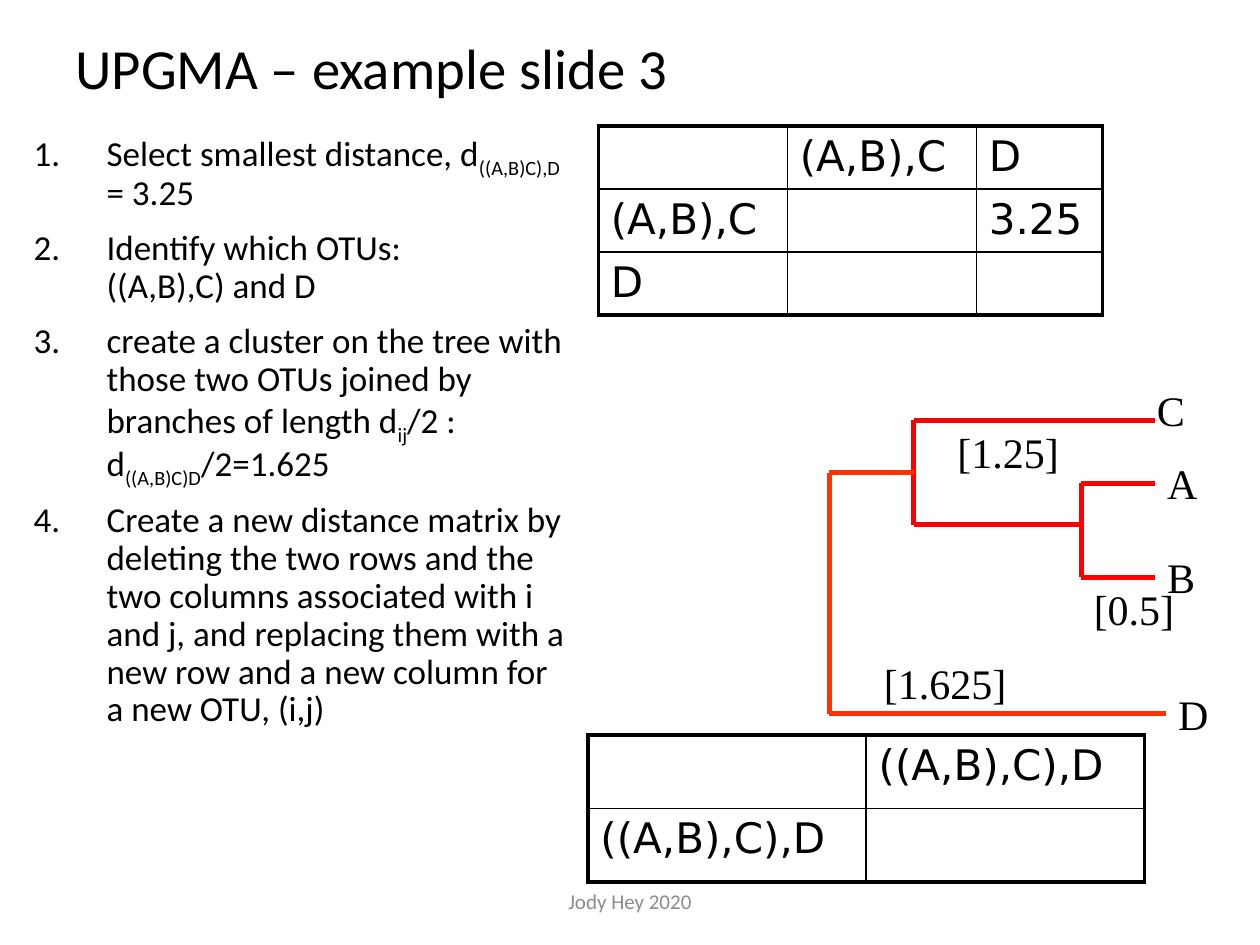
from lxml import etree
from pptx import Presentation
from pptx.dml.color import RGBColor
from pptx.enum import shapes, text
from pptx.oxml import ns
from pptx.util import Cm, Pt

BLACK, RED, ORANGE, GREY = "000000", "FF0000", "FF3300", "8C8C8C"
SANS, MATRIX_FONT, TREE_FONT = "Calibri", "DejaVu Sans", "Times New Roman"

TITLE = "UPGMA – example slide 3"
FOOTER = "Jody Hey 2020"

# Each step is a list of runs; every second run is a subscript.
STEPS = [
    ["Select smallest distance, d", "((A,B)C),D", " = 3.25"],
    ["Identify which OTUs:\v((A,B),C) and D"],
    ["create a cluster on the tree with those two OTUs joined by branches of length d",
     "ij", "/2 : d", "((A,B)C)D", "/2=1.625"],
    ["Create a new distance matrix by deleting the two rows and the two columns "
     "associated with i and j, and replacing them with a new row and a new column "
     "for a new OTU, (i,j)"],
]

# Distance matrices, lengths in cm
MATRICES = [
    {"left": 12.06, "top": 2.54, "widths": [3.81, 3.81, 2.54], "row_height": 1.27,
     "rows": [["", "(A,B),C", "D"], ["(A,B),C", "", "3.25"], ["D", "", ""]]},
    {"left": 11.85, "top": 14.82, "widths": [5.61, 5.61], "row_height": 1.48,
     "rows": [["", "((A,B),C),D"], ["((A,B),C),D", ""]]},
]

# Tree forks: x of the node, its two branches as (y, x of the tip), colour
FORKS = [
    (21.8, [(9.74, 23.28), (11.64, 23.28)], RED),
    (18.42, [(8.47, 23.28), (10.58, 21.8)], RED),
    (16.72, [(9.53, 18.42), (14.39, 23.5)], ORANGE),
]

# Tree labels: text, left, top, width
TREE_LABELS = [
    ("A", 23.28, 9.1, 1.27),
    ("B", 23.28, 11, 1.27),
    ("[0.5]", 21.8, 11.64, 2.96),
    ("C", 23.07, 7.62, 1.27),
    ("[1.25]", 19.05, 8.47, 3.18),
    ("D", 23.5, 13.76, 1.27),
    ("[1.625]", 17.57, 13.12, 4.45),
]


def rgb(value):
    return RGBColor.from_string(value)


def add_run(paragraph, words, size, font, color=BLACK):
    first, *rest = words.split("\v")
    runs = [paragraph.add_run()]
    runs[0].text = first
    for line in rest:
        paragraph.add_line_break()
        runs.append(paragraph.add_run())
        runs[-1].text = line
    for run in runs:
        for key, value in {"size": Pt(size), "name": font, "bold": False}.items():
            setattr(run.font, key, value)
        run.font.color.rgb = rgb(color)
    return runs[0]


def add_frame(slide, *box):
    frame = slide.shapes.add_textbox(*map(Cm, box)).text_frame
    frame.word_wrap = True
    return frame


def add_title(slide):
    title = slide.shapes.title
    places = {"left": 1.27, "top": 0.76, "width": 22.86, "height": 1.35}
    for key, value in places.items():
        setattr(title, key, Cm(value))
    title.text_frame.vertical_anchor = text.MSO_ANCHOR.MIDDLE
    paragraph = title.text_frame.paragraphs[0]
    paragraph.alignment = text.PP_ALIGN.LEFT
    paragraph.line_spacing = 0.9
    add_run(paragraph, TITLE, 32.4, SANS)


def add_steps(slide):
    frame = add_frame(slide, 0.43, 2.54, 11.23, 16.3)
    for number, parts in enumerate(STEPS):
        paragraph = frame.add_paragraph() if number else frame.paragraphs[0]
        paragraph.line_spacing = 0.9
        paragraph.space_before = Pt(10)
        props = paragraph._p.get_or_add_pPr()
        props.set("marL", str(Cm(1.47)))
        props.set("indent", str(-Cm(1.47)))
        etree.SubElement(props, ns.qn("a:buFont"), typeface="+mj-lt")
        etree.SubElement(props, ns.qn("a:buAutoNum"), type="arabicPeriod")
        for index, part in enumerate(parts):
            run = add_run(paragraph, part, 20, SANS)
            if index % 2:
                run.font._element.set("baseline", "-25000")


def set_borders(cell, outer_sides):
    """Draw thick lines on the outer sides of the matrix and thin ones elsewhere."""
    props = cell._tc.get_or_add_tcPr()
    for side in "LRTB":
        width = Pt(2.25 if side in outer_sides else 1)
        line = etree.SubElement(props, ns.qn(f"a:ln{side}"), w=str(width))
        fill = etree.SubElement(line, ns.qn("a:solidFill"))
        etree.SubElement(fill, ns.qn("a:srgbClr"), val=BLACK)


def add_matrix(slide, left, top, widths, row_height, rows):
    last_row, last_col = len(rows) - 1, len(widths) - 1
    table = slide.shapes.add_table(
        len(rows), len(widths), Cm(left), Cm(top),
        Cm(sum(widths)), Cm(row_height * len(rows))).table
    table.first_row = table.horz_banding = False
    for column, width in zip(table.columns, widths):
        column.width = Cm(width)
    for r, row in enumerate(rows):
        for c, label in enumerate(row):
            cell = table.cell(r, c)
            outer = {"L": c == 0, "R": c == last_col, "T": r == 0, "B": r == last_row}
            set_borders(cell, [side for side, is_outer in outer.items() if is_outer])
            cell.fill.background()
            if label:
                add_run(cell.text_frame.paragraphs[0], label, 24, MATRIX_FONT)


def add_line(slide, x1, y1, x2, y2, color):
    line = slide.shapes.add_connector(
        shapes.MSO_CONNECTOR.STRAIGHT, Cm(x1), Cm(y1), Cm(x2), Cm(y2))
    line.line.color.rgb = rgb(color)
    line.line.width = Pt(3)
    etree.SubElement(line._element.spPr, ns.qn("a:effectLst"))


def add_tree(slide):
    for node_x, branches, color in FORKS:
        (upper_y, _), (lower_y, _) = branches
        add_line(slide, node_x, upper_y, node_x, lower_y, color)
        for y, tip_x in branches:
            add_line(slide, node_x, y, tip_x, y, color)
    for label, left, top, width in TREE_LABELS:
        frame = add_frame(slide, left, top, width, 1.27)
        add_run(frame.paragraphs[0], label, 24, TREE_FONT)


def add_footer(slide):
    frame = add_frame(slide, 8.41, 17.65, 8.58, 1.02)
    frame.vertical_anchor = text.MSO_ANCHOR.MIDDLE
    frame.paragraphs[0].alignment = text.PP_ALIGN.CENTER
    add_run(frame.paragraphs[0], FOOTER, 12, SANS, GREY)


def main():
    prs = Presentation()
    prs.slide_width, prs.slide_height = Cm(25.4), Cm(19.05)
    slide = prs.slides.add_slide(prs.slide_layouts[5])
    add_title(slide)
    add_steps(slide)
    add_tree(slide)
    for matrix in MATRICES:
        add_matrix(slide, **matrix)
    add_footer(slide)
    prs.save("out.pptx")


if __name__ == "__main__":
    main()
